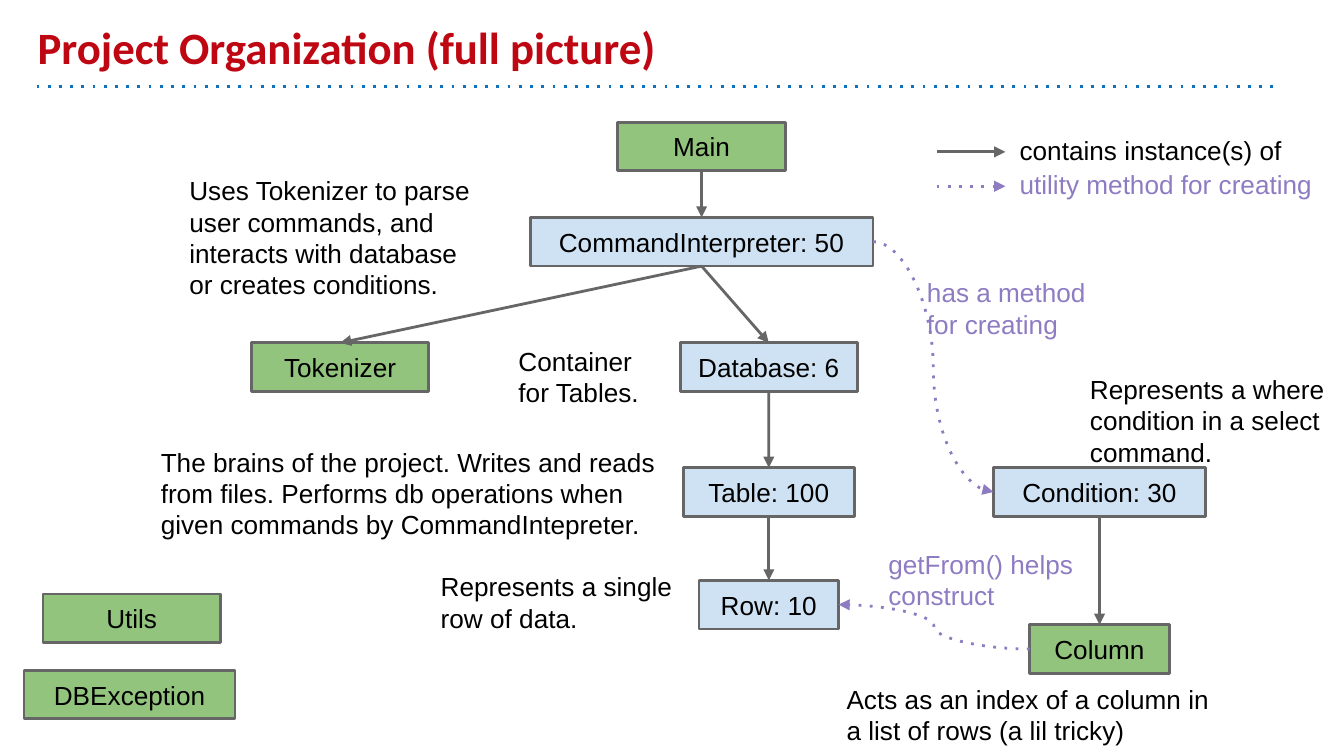
from lxml.etree import SubElement
from pptx import Presentation
from pptx.dml.color import RGBColor
from pptx.enum.shapes import MSO_CONNECTOR as CONNECTOR, MSO_SHAPE
from pptx.enum.text import MSO_ANCHOR as ANCHOR, MSO_AUTO_SIZE as AUTO_SIZE, PP_ALIGN as ALIGN
from pptx.oxml.ns import qn
from pptx.util import Cm, Pt

RED = RGBColor(0xBE, 0x07, 0x12)
RULE_BLUE = RGBColor(0x10, 0x72, 0xBD)
GREEN = RGBColor(0x93, 0xC4, 0x7D)
BLUE = RGBColor(0xCF, 0xE2, 0xF3)
GRAY = RGBColor(0x66, 0x66, 0x66)
PURPLE = RGBColor(0x8E, 0x7C, 0xC3)
BLACK = RGBColor(0, 0, 0)

LINE_WIDTH = Pt(1.5)
INSET = Cm(0.25)
CLASS_HEIGHT = 0.92
TOP, LEFT, BOTTOM, RIGHT = range(4)

# name: (label, fill, centre, top, width), in cm within the diagram
CLASSES = {
    "main": ("Main", GREEN, 13.26, 0, 3.18),
    "interpreter": ("CommandInterpreter: 50", BLUE, 13.26, 1.8, 6.48),
    "tokenizer": ("Tokenizer", GREEN, 6.43, 4.17, 3.35),
    "database": ("Database: 6", BLUE, 14.53, 4.17, 3.35),
    "table": ("Table: 100", BLUE, 14.53, 6.53, 3.23),
    "row": ("Row: 10", BLUE, 14.53, 8.66, 2.64),
    "condition": ("Condition: 30", BLUE, 20.78, 6.53, 4.01),
    "column": ("Column", GREEN, 20.78, 9.5, 2.64),
    "utils": ("Utils", GREEN, 2.49, 8.92, 3.35),
    "exception": ("DBException", GREEN, 2.45, 10.36, 3.99),
}
CONTAINS = [
    ("main", "interpreter"),
    ("interpreter", "tokenizer"),
    ("interpreter", "database"),
    ("database", "table"),
    ("table", "row"),
    ("condition", "column"),
]
CREATES = [("interpreter", RIGHT, "condition", LEFT), ("column", LEFT, "row", RIGHT)]

# text, colour, left, top, width, height
NOTES = [
    ("Uses Tokenizer to parse user commands, and interacts with database "
     "or creates conditions.", BLACK, 3.33, 0.74, 6.02, 0.76),
    ("has a method for creating", PURPLE, 17.27, 2.67, 3.99, 0.89),
    ("Container for Tables.", BLACK, 9.55, 3.96, 3.23, 1.37),
    ("The brains of the project. Writes and reads from files. Performs db "
     "operations when given commands by CommandIntepreter.", BLACK, 2.79, 5.87, 10.01, 1.37),
    ("Represents a single row of data.", BLACK, 8.08, 8.23, 5.18, 1.37),
    ("Acts as an index of a column in a list of rows (a lil tricky)",
     BLACK, 15.75, 10.36, 7.39, 1.45),
    ("Represents a where condition in a select command.", BLACK, 20.35, 4.5, 6.48, 1.7),
    ("getFrom() helps construct", PURPLE, 16.54, 7.8, 4.19, 0.91),
]


def write_text(shape, text, color, size=14, font="Arial", bold=False,
               align=ALIGN.LEFT, anchor=ANCHOR.TOP):
    frame = shape.text_frame
    frame.word_wrap = True
    frame.auto_size = AUTO_SIZE.NONE
    frame.vertical_anchor = anchor
    frame.margin_left = frame.margin_right = INSET
    frame.margin_top = frame.margin_bottom = INSET
    paragraph = frame.paragraphs[0]
    paragraph.alignment = align
    run = paragraph.add_run()
    run.text = text
    run.font.name = font
    run.font.size = Pt(size)
    run.font.bold = bold
    run.font.color.rgb = color


def add_line(slide, color, points=(0, 0, 0, 0), kind=CONNECTOR.STRAIGHT,
             dotted=False, arrow=True):
    connector = slide.shapes.add_connector(kind, *points)
    connector.line.color.rgb = color
    connector.line.width = LINE_WIDTH
    properties = connector._element.spPr
    outline = properties.find(qn("a:ln"))
    if dotted:
        SubElement(outline, qn("a:prstDash"), val="dot")
    if arrow:
        SubElement(outline, qn("a:tailEnd"), type="triangle")
    SubElement(properties, qn("a:effectLst"))
    return connector


def add_note(slide, text, color, left, top, width, height):
    write_text(slide.shapes.add_textbox(left, top, width, height), text, color)


def add_class(slide, label, fill, left, top, width):
    shape = slide.shapes.add_shape(MSO_SHAPE.RECTANGLE, left, top, width, Cm(CLASS_HEIGHT))
    shape.shadow.inherit = False
    shape.fill.solid()
    shape.fill.fore_color.rgb = fill
    shape.line.color.rgb = GRAY
    shape.line.width = LINE_WIDTH
    write_text(shape, label, BLACK, align=ALIGN.CENTER, anchor=ANCHOR.MIDDLE)
    return shape


def add_heading(slide, left, top, width, height):
    rule_left, rule_top = left + Cm(0.23), top + height
    add_line(slide, RULE_BLUE, (rule_left, rule_top, rule_left + Cm(23.44), rule_top),
             dotted=True, arrow=False)
    title = slide.shapes.title
    title.left, title.top, title.width, title.height = left, top, width, height
    write_text(title, "Project Organization (full picture)", RED, size=24,
               font="Calibri", bold=True, anchor=ANCHOR.BOTTOM)


def add_diagram(slide, left, top):
    shapes = {
        name: add_class(slide, label, fill, left + Cm(centre - width / 2),
                        top + Cm(offset), Cm(width))
        for name, (label, fill, centre, offset, width) in CLASSES.items()
    }
    for owner, part in CONTAINS:
        arrow = add_line(slide, GRAY)
        arrow.begin_connect(shapes[owner], BOTTOM)
        arrow.end_connect(shapes[part], TOP)
    for creator, exit_side, product, entry_side in CREATES:
        arrow = add_line(slide, PURPLE, kind=CONNECTOR.CURVE, dotted=True)
        arrow.begin_connect(shapes[creator], exit_side)
        arrow.end_connect(shapes[product], entry_side)
    for text, color, x, y, width, height in NOTES:
        add_note(slide, text, color, left + Cm(x), top + Cm(y), Cm(width), Cm(height))


def add_legend(slide, left, top):
    entries = [("contains instance(s) of", GRAY, BLACK, False),
               ("utility method for creating", PURPLE, PURPLE, True)]
    for index, (text, line_color, text_color, dotted) in enumerate(entries):
        entry_top = top + index * Cm(0.65)
        line_top = entry_top + Cm(0.58)
        add_line(slide, line_color, (left, line_top, left + Cm(1.3), line_top), dotted=dotted)
        add_note(slide, text, text_color, left + Cm(1.32), entry_top, Cm(6.25), Cm(0.89))


def main():
    presentation = Presentation()
    presentation.slide_width, presentation.slide_height = Cm(25.4), Cm(14.29)
    slide = presentation.slides.add_slide(presentation.slide_layouts[5])
    add_heading(slide, Cm(0.46), Cm(0.25), Cm(22.86), Cm(1.38))
    add_diagram(slide, Cm(0), Cm(2.31))
    add_legend(slide, Cm(17.7), Cm(2.29))
    presentation.save("out.pptx")


if __name__ == "__main__":
    main()
